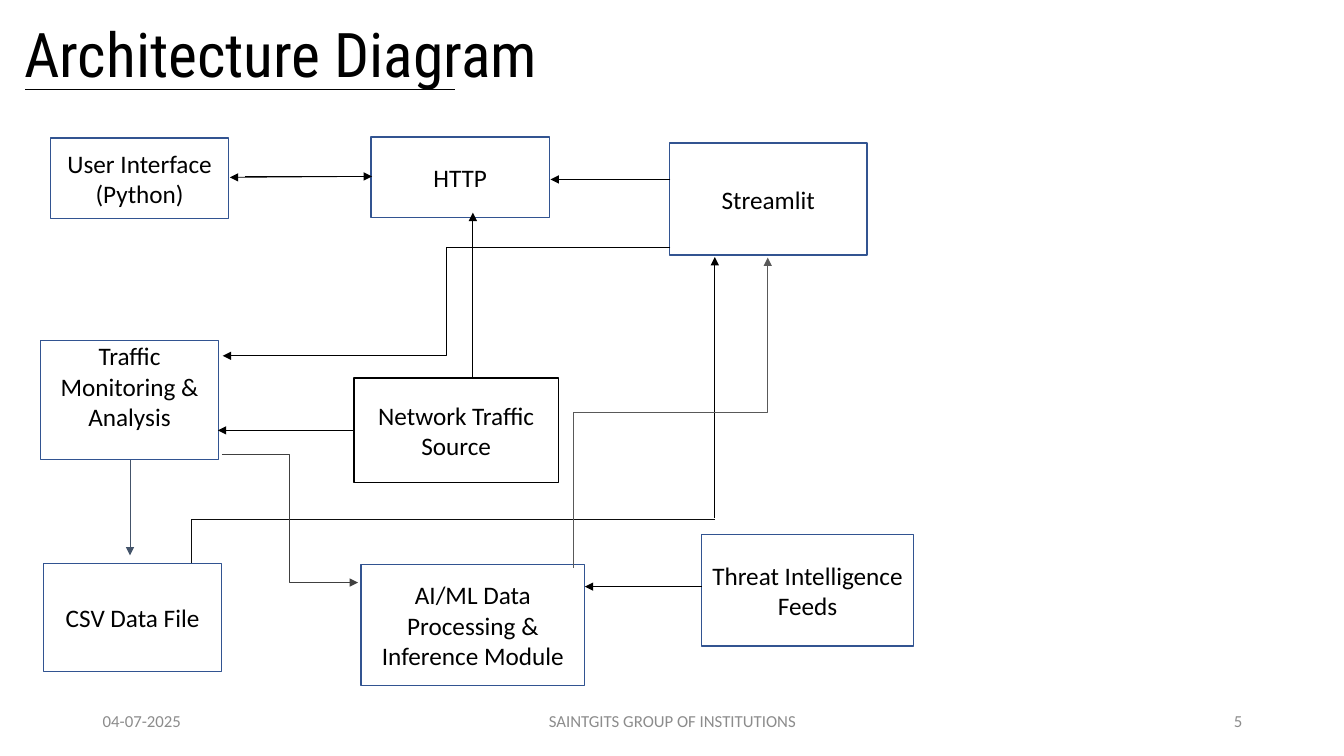
from lxml import etree
from pptx import Presentation
from pptx import util as u
from pptx.dml import color
from pptx.enum import shapes, text
from pptx.oxml import ns

BLACK, WHITE, BLUE, GREY = "000000", "FFFFFF", "325491", "8C8C8C"
LEFT, MID, RIGHT = text.PP_ALIGN.LEFT, text.PP_ALIGN.CENTER, text.PP_ALIGN.RIGHT

BOXES = [
    ("User Interface (Python)", (0.5, 1.37, 1.77, 0.8)),
    ("HTTP", (3.68, 1.36, 1.77, 0.8)),
    ("Streamlit", (6.64, 1.42, 1.96, 1.11)),
    ("CSV Data File", (0.43, 5.59, 1.77, 1.07)),
    ("AI/ML Data Processing & Inference Module", (3.58, 5.6, 2.22, 1.2)),
    ("Threat Intelligence Feeds", (6.96, 5.3, 2.1, 1.11)),
]
ARROWS = [
    ((6.65, 1.78, 5.46, 1.78), BLACK),
    ((6.96, 5.82, 5.8, 5.82), BLACK),
    ((4.69, 3.75, 4.69, 2.11), BLACK),
    ((3.51, 4.27, 2.16, 4.27), BLACK),
    ((3.68, 1.75, 2.28, 1.76), BLACK),
    ((2.43, 1.75, 3.69, 1.75), BLACK),
    ((1.29, 4.56, 1.29, 5.51), "44546A"),
    ((7.09, 5.14, 7.09, 2.55), BLACK),
]
RULES = [
    ((0.25, 0.89, 4.51, 0.89), BLACK),
    ((1.9, 5.59, 1.9, 5.15), "0D0D0D"),
    ((1.9, 5.15, 7.09, 5.15), "0D0D0D"),
]
ELBOWS = [
    ((8.19, 5.06, 5.11, 3.13), "595959", 90),
    ((2.2, 4.51, 3.55, 5.78), "404040", 0),
    ((6.65, 2.45, 2.21, 3.53), BLACK, 0),
]
FOOTER = [
    ("04-07-2025", (0.92, 6.95, 3, 0.4), LEFT),
    ("SAINTGITS GROUP OF INSTITUTIONS", (4.42, 6.95, 4.5, 0.4), MID),
    ("5", (9.42, 6.95, 3, 0.4), RIGHT),
]


def inches(vals):
    """Turn a row of numbers into lengths."""
    return [u.Inches(v) for v in vals]


def rgb(code):
    """Make a colour from a hex string."""
    return color.RGBColor.from_string(code)


def assign(item, vals):
    """Set each attribute of item from a dict."""
    for name, val in vals.items():
        setattr(item, name, val)


def write(shape, words, size, tint=BLACK, align=MID, face="Calibri"):
    """Put one formatted paragraph in a shape."""
    frame = shape.text_frame
    frame.text = words
    assign(frame, {"word_wrap": True, "auto_size": text.MSO_AUTO_SIZE.NONE,
                   "vertical_anchor": text.MSO_ANCHOR.MIDDLE})
    para = frame.paragraphs[0]
    para.alignment = align
    assign(para.runs[0].font, {"name": face, "size": u.Pt(size)})
    para.runs[0].font.color.rgb = rgb(tint)
    return frame


def head(slide, words):
    """Place and format the title."""
    title = slide.shapes.title
    spot = inches((0.14, -0.15, 11.5, 1.45))
    assign(title, dict(zip(("left", "top", "width", "height"), spot)))
    frame = write(title, words, 44, align=LEFT, face="Roboto Condensed")
    frame.paragraphs[0].line_spacing = 0.9


def box(slide, words, area, edge=BLUE, fill=WHITE):
    """Draw a labelled rectangle."""
    shape = slide.shapes.add_shape(shapes.MSO_SHAPE.RECTANGLE, *inches(area))
    shape.shadow.inherit = False
    if fill:
        shape.fill.solid()
        shape.fill.fore_color.rgb = rgb(fill)
    else:
        shape.fill.background()
    shape.line.color.rgb = rgb(edge)
    shape.line.width = u.Pt(1)
    return write(shape, words, 18)


def link(slide, ends, tint, arrow=True, kind="STRAIGHT", turn=0):
    """Draw a connector, with an arrowhead at its end if asked."""
    line = slide.shapes.add_connector(shapes.MSO_CONNECTOR[kind], *inches(ends))
    line.line.color.rgb = rgb(tint)
    line.line.width = u.Pt(0.5)
    props = line.element.spPr
    if arrow:
        tip = etree.SubElement(props.find(ns.qn("a:ln")), ns.qn("a:tailEnd"))
        tip.set("type", "triangle")
    if turn:
        props.find(ns.qn("a:xfrm")).set("rot", str(turn * 60000))
    etree.SubElement(props, ns.qn("a:effectLst"))


def main():
    """Build the slide and save it."""
    deck = Presentation()
    assign(deck, {"slide_width": u.Inches(13.33), "slide_height": u.Inches(7.5)})
    slide = deck.slides.add_slide(deck.slide_layouts[5])
    head(slide, "Architecture Diagram")
    for words, area in BOXES:
        box(slide, words, area)
    frame = box(slide, "Traffic Monitoring & Analysis", (0.4, 3.38, 1.77, 1.18))
    assign(frame, {"vertical_anchor": text.MSO_ANCHOR.TOP, "margin_top": 0})
    box(slide, "Network Traffic Source", (3.51, 3.75, 2.03, 1.04), BLACK, None)
    for ends, tint in ARROWS:
        link(slide, ends, tint)
    for ends, tint in RULES:
        link(slide, ends, tint, arrow=False)
    for ends, tint, turn in ELBOWS:
        link(slide, ends, tint, kind="ELBOW", turn=turn)
    for words, area, align in FOOTER:
        note = slide.shapes.add_textbox(*inches(area))
        write(note, words, 12, GREY, align)
    deck.save("out.pptx")


if __name__ == "__main__":
    main()
